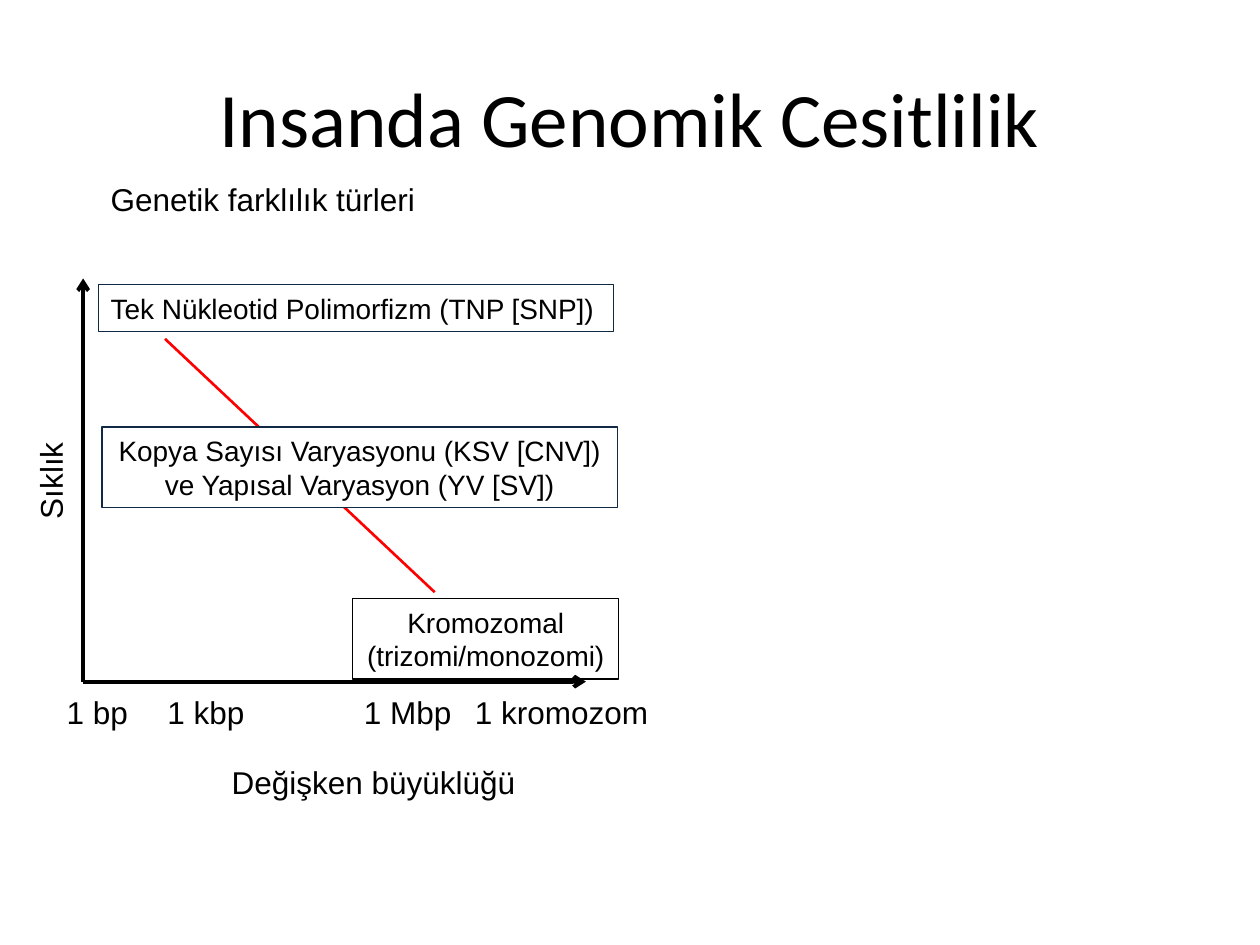
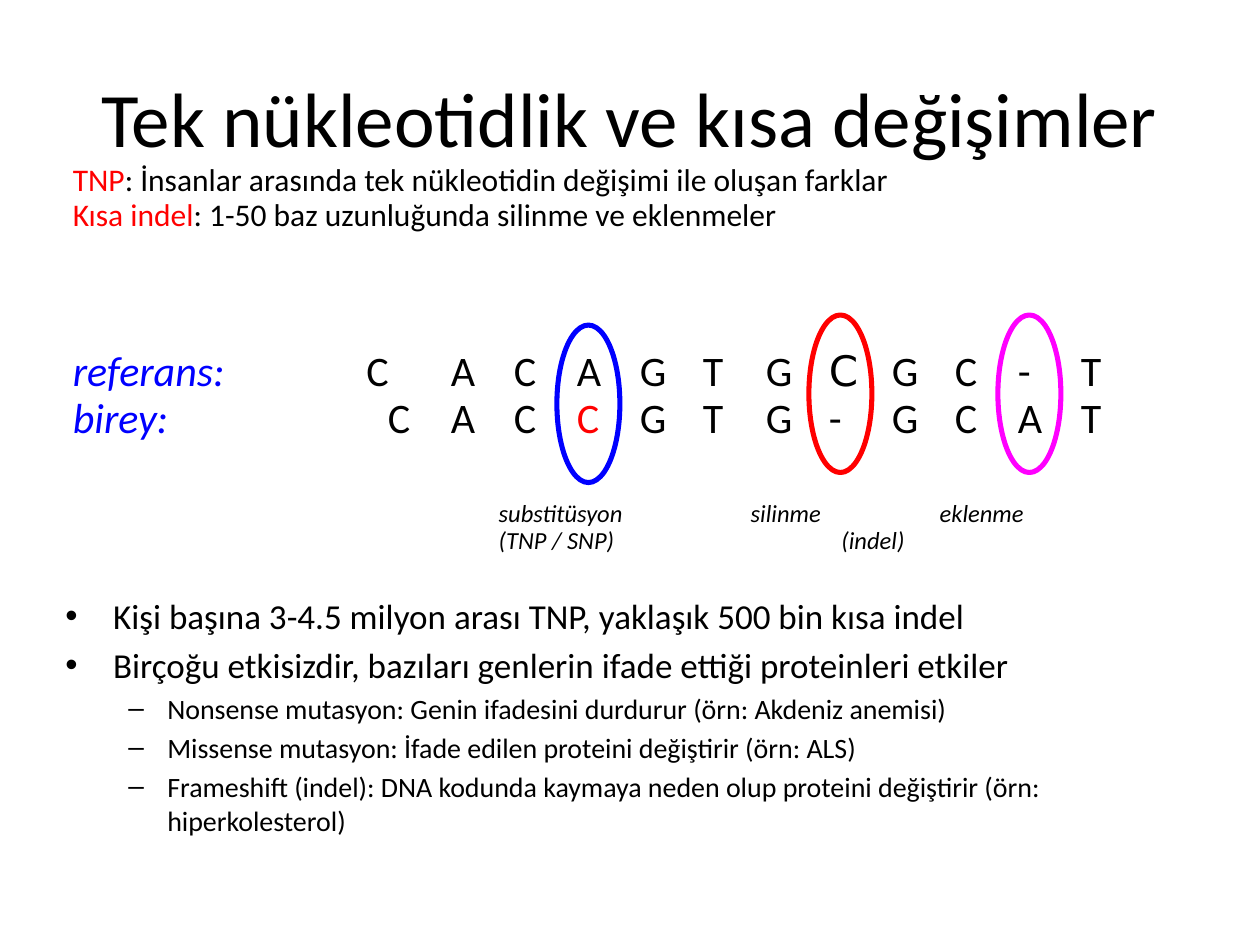
from lxml import etree
from pptx import Presentation
from pptx.dml.color import RGBColor as Rgb
from pptx.enum.shapes import MSO_CONNECTOR as Conn, MSO_SHAPE as Shape
from pptx.enum.text import MSO_ANCHOR as Anchor, PP_ALIGN as Align
from pptx.oxml.ns import qn
from pptx.util import Inches, Pt

HUES = {"ink": "000000", "paper": "FFFFFF", "navy": "112943",
        "red": "FF0000", "blue": "0000FF", "pink": "FF00FF"}
HEAD, BODY, ALT = "Calibri", "Arial", "DejaVu Sans"
TIGHT = 0.93


def hue(name):
    return Rgb.from_string(HUES[name])


def style(font, face=None, size=None, color=None, italic=None):
    if face:
        font.name = face
    if size:
        font.size = Pt(size)
    if color:
        font.color.rgb = hue(color)
    if italic is not None:
        font.italic = italic


def write(para, parts, face, size, italic=None):
    """Fill a paragraph; a part is plain text or (text, own font settings)."""
    style(para.font, face, size, "ink", italic)
    for part in [parts] if isinstance(parts, str) else parts:
        text, own = (part, {}) if isinstance(part, str) else part
        run = para.add_run()
        run.text = text
        style(run.font, **own)


def paras(frame, count):
    return [frame.paragraphs[0]] + [frame.add_paragraph() for _ in range(count - 1)]


def text_box(slide, left, top, width, height, wrap=True):
    box = slide.shapes.add_textbox(*map(Inches, (left, top, width, height)))
    box.text_frame.word_wrap = wrap
    return box


def title(slide, text):
    frame = text_box(slide, 0.5, 0.3, 9, 1.25).text_frame
    frame.vertical_anchor = Anchor.MIDDLE
    para = frame.paragraphs[0]
    para.alignment = Align.CENTER
    write(para, text, HEAD, 44)


def label(slide, text, left, top, width, turn=0):
    box = text_box(slide, left, top, width, 0.4, wrap=False)
    box.rotation = turn
    write(box.text_frame.paragraphs[0], text, BODY, 18)


def shape(slide, kind, place, edge, weight, fill=None):
    item = slide.shapes.add_shape(kind, *map(Inches, place))
    item.shadow.inherit = False
    item.line.color.rgb = hue(edge)
    item.line.width = Pt(weight)
    if fill:
        item.fill.solid()
        item.fill.fore_color.rgb = hue(fill)
    else:
        item.fill.background()
    return item


def frame_box(slide, lines, place, edge, align=Align.CENTER, fill=None):
    frame = shape(slide, Shape.RECTANGLE, place, edge, 0.75, fill).text_frame
    frame.word_wrap = True
    for para, line in zip(paras(frame, len(lines)), lines):
        para.alignment = align
        write(para, line, BODY, 16)


def line(slide, start, end, color, weight, arrow=False):
    item = slide.shapes.add_connector(Conn.STRAIGHT, *map(Inches, start + end))
    item.line.color.rgb = hue(color)
    item.line.width = Pt(weight)
    if arrow:
        etree.SubElement(item.line._get_or_add_ln(), qn("a:tailEnd"), type="arrow")
    etree.SubElement(item._element.spPr, qn("a:effectLst"))


def set_tabs(para, stops):
    tabs = etree.SubElement(para._p.get_or_add_pPr(), qn("a:tabLst"))
    for stop in stops:
        etree.SubElement(tabs, qn("a:tab"), pos=str(Inches(stop)), algn="l")


def tab_line(para, parts, stops, size, italic=None):
    para.line_spacing = TIGHT
    set_tabs(para, stops)
    write(para, parts, HEAD, size, italic)


def bullet(para, text, level, first):
    mark, left, hang, size = [("•", 0.38, 0.38, 20), ("–", 0.81, 0.31, 16)][level]
    para.level = level
    para.space_before = Pt(0 if first else size * 0.2)
    props = para._p.get_or_add_pPr()
    props.set("marL", str(Inches(left)))
    props.set("indent", str(-Inches(hang)))
    etree.SubElement(props, qn("a:buFont"), typeface=BODY)
    etree.SubElement(props, qn("a:buChar"), char=mark)
    write(para, text, HEAD, size)


def range_slide(slide):
    title(slide, "Insanda Genomik Cesitlilik")
    label(slide, "Genetik farklılık türleri", 0.78, 1.38, 2.64)

    # Trend and axes
    origin = (0.66, 5.41)
    line(slide, (1.31, 2.69), (3.45, 4.7), "red", 1.5)
    line(slide, origin, (0.66, 2.21), "ink", 2.25, arrow=True)
    line(slide, origin, (4.65, 5.41), "ink", 2.25, arrow=True)

    # Axis labels
    for text, left, width in [("1 bp", 0.43, 0.69), ("1 kbp", 1.23, 0.82),
                              ("1 Mbp", 2.79, 0.9), ("1 kromozom", 3.67, 1.59)]:
        label(slide, text, left, 5.45, width)
    label(slide, "Değişken büyüklüğü", 1.74, 6.01, 2.47)
    label(slide, "Sıklık", -0.01, 3.61, 0.82, turn=270)

    # Kinds of variation
    frame_box(slide, ["Tek Nükleotid Polimorfizm (TNP [SNP])"],
              (0.78, 2.26, 4.09, 0.37), "navy", Align.LEFT)
    frame_box(slide, ["Kromozomal", "(trizomi/monozomi)"],
              (2.8, 4.75, 2.11, 0.64), "ink")
    frame_box(slide, ["Kopya Sayısı Varyasyonu (KSV [CNV])",
                      "ve Yapısal Varyasyon (YV [SV])"],
              (0.81, 3.39, 4.09, 0.64), "navy", fill="paper")


def change_slide(slide):
    title(slide, "Tek nükleotidlik ve kısa değişimler")

    # Terms, then the two aligned sequences
    red = {"color": "red"}
    name = {"color": "blue", "italic": True}
    bases = [3 + 0.5 * i for i in range(11)]
    rows = [
        ([("TNP", red), ": İnsanlar arasında tek nükleotidin değişimi ile oluşan farklar"],
         [], 18),
        ([("Kısa indel", red), ": 1-50 baz uzunluğunda silinme ve eklenmeler"], [], 18),
        ([("referans:", name), "\tC\tA\tC\tA\tG\tT\tG\t", ("C", {"face": ALT}),
          "\tG\tC\t-\tT"], [2.33] + bases, 24),
        ([("birey:", name), "\tC\tA\tC\t", ("C", red), "\tG\tT\tG\t-\tG\tC\tA\tT"],
         [2.5] + bases, 24),
    ]
    frame = text_box(slide, 0.48, 1.25, 8.94, 3.07).text_frame
    lines = paras(frame, len(rows))
    for para, row in zip(lines, rows):
        tab_line(para, *row)
    lines[2].space_before = Pt(66)

    # Rings around the changes
    for left, top, color in [(4.42, 2.58, "blue"), (6.42, 2.5, "red"), (7.92, 2.5, "pink")]:
        shape(slide, Shape.OVAL, (left, top, 0.5, 1.25), color, 2.89)

    # Names of the changes
    frame = text_box(slide, 3.86, 3.92, 5.64, 0.38).text_frame
    top, low = paras(frame, 2)
    tab_line(top, "substitüsyon\tsilinme\teklenme", [2, 3.5], 14, italic=True)
    tab_line(low, "(TNP / SNP)\t(indel)", [2.72], 14, italic=True)

    # Facts
    facts = [
        ("Kişi başına 3-4.5 milyon arası TNP, yaklaşık 500 bin kısa indel", 0),
        ("Birçoğu etkisizdir, bazıları genlerin ifade ettiği proteinleri etkiler", 0),
        ("Nonsense mutasyon: Genin ifadesini durdurur (örn: Akdeniz anemisi)", 1),
        ("Missense mutasyon: İfade edilen proteini değiştirir (örn: ALS)", 1),
        ("Frameshift (indel): DNA kodunda kaymaya neden olup proteini değiştirir "
         "(örn: hiperkolesterol)", 1),
    ]
    frame = text_box(slide, 0.42, 4.67, 9, 1.92).text_frame
    for i, (para, fact) in enumerate(zip(paras(frame, len(facts)), facts)):
        bullet(para, *fact, first=i == 0)


def main():
    deck = Presentation()
    deck.slide_width, deck.slide_height = Inches(10), Inches(7.5)
    for build in (range_slide, change_slide):
        build(deck.slides.add_slide(deck.slide_layouts[6]))
    deck.save("out.pptx")


if __name__ == "__main__":
    main()
